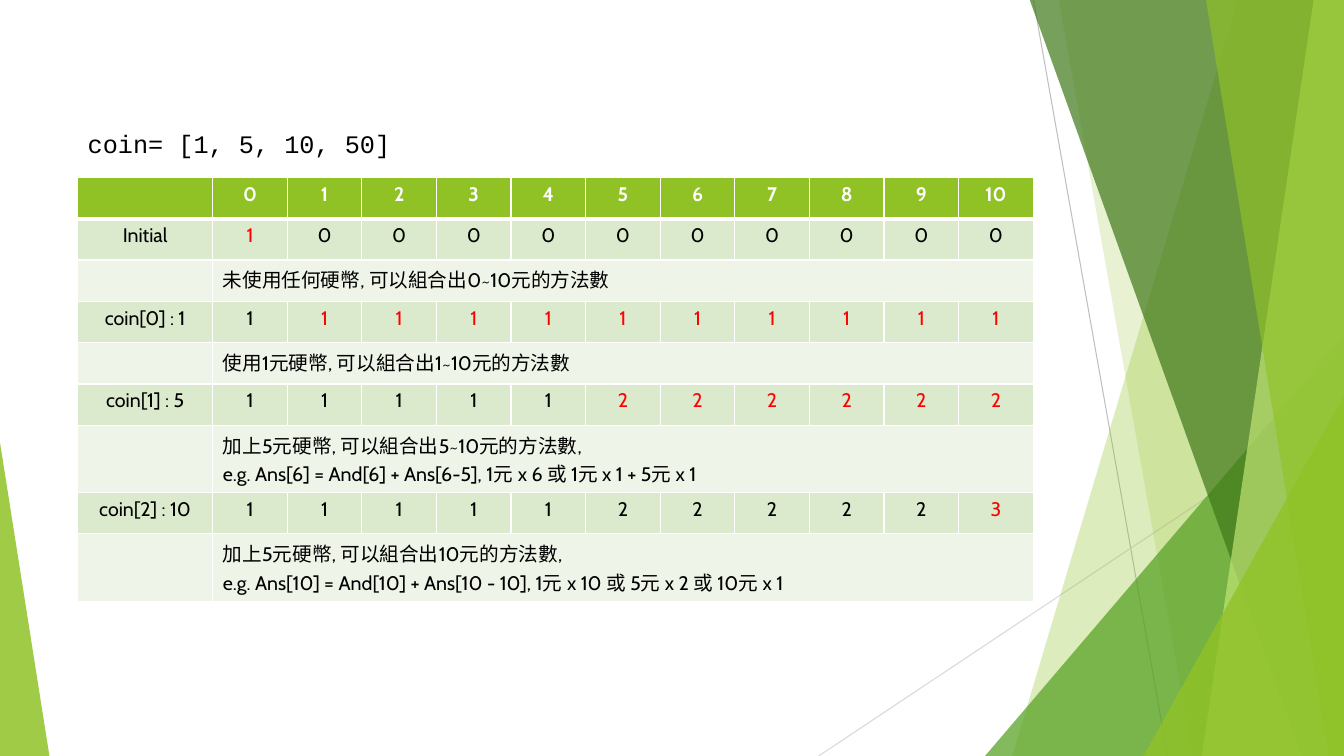
from lxml import etree
from pptx import Presentation
from pptx import util as u
from pptx.dml.color import RGBColor
from pptx.enum import shapes, text
from pptx.oxml import ns

WHITE = RGBColor(0xFF, 0xFF, 0xFF)
BLACK = RGBColor(0x00, 0x00, 0x00)
RED = RGBColor(0xFF, 0x00, 0x00)
LIME = RGBColor(0x90, 0xC2, 0x26)
PALE_LIME = RGBColor(0xC0, 0xE4, 0x74)
GREEN = RGBColor(0x54, 0xA0, 0x21)
DARK_GREEN = RGBColor(0x3F, 0x78, 0x19)
COUNT_BAND = RGBColor(0xDB, 0xE9, 0xCD)
NOTE_BAND = RGBColor(0xEE, 0xF4, 0xE8)
GREY = RGBColor(0xBF, 0xBF, 0xBF)
LIGHT_GREY = RGBColor(0xD9, 0xD9, 0xD9)

WIDTH, HEIGHT, TOP = 13.33, 7.5, -0.01
CENTER, LEFT = text.PP_ALIGN.CENTER, text.PP_ALIGN.LEFT

STEPS = [
    ("Initial", [1] + [0] * 10, range(0, 1),
     ["未使用任何硬幣, 可以組合出0~10元的方法數"]),
    ("coin[0] : 1", [1] * 11, range(1, 11),
     ["使用1元硬幣, 可以組合出1~10元的方法數"]),
    ("coin[1] : 5", [1] * 5 + [2] * 6, range(5, 11),
     ["加上5元硬幣, 可以組合出5~10元的方法數,",
      "e.g. Ans[6] = And[6] + Ans[6-5], 1元 x 6 或 1元 x 1 + 5元 x 1"]),
    ("coin[2] : 10", [1] * 5 + [2] * 5 + [3], range(10, 11),
     ["加上5元硬幣, 可以組合出10元的方法數,",
      "e.g. Ans[10] = And[10] + Ans[10 - 10], 1元 x 10 或 5元 x 2 或 10元 x 1"]),
]


class CoinSlide:
    cell_style = {"name": "Cabin", "size": u.Pt(14), "bold": False}
    code_style = {"name": "Courier New", "size": u.Pt(18), "bold": False}

    def __init__(self, deck):
        self.slide = deck.slides.add_slide(deck.slide_layouts[5])

    def format(self, target, values):
        for key, value in values.items():
            setattr(target, key, value)

    def heading(self, words, left, top, width, height):
        title = self.slide.shapes.title
        self.format(title, {"left": u.Inches(left), "top": u.Inches(top),
                            "width": u.Inches(width), "height": u.Inches(height)})
        frame = title.text_frame
        frame.text = words
        self.format(frame, {"word_wrap": False, "auto_size": text.MSO_AUTO_SIZE.NONE,
                            "vertical_anchor": text.MSO_ANCHOR.TOP})
        line = frame.paragraphs[0]
        line.alignment = LEFT
        self.format(line.runs[0].font, self.code_style)
        line.runs[0].font.color.rgb = BLACK

    def ray(self, start, end, color):
        ray = self.slide.shapes.add_connector(
            shapes.MSO_CONNECTOR.STRAIGHT, *map(u.Inches, start + end))
        ray.line.color.rgb = color
        ray.line.width = u.Pt(0.75)
        etree.SubElement(ray._element.spPr, ns.qn("a:effectLst"))

    def tint(self, facet, color, opacity):
        facet.shadow.inherit = False
        facet.fill.solid()
        facet.fill.fore_color.rgb = color
        facet.line.fill.background()
        shade = facet._element.spPr.find(ns.qn("a:solidFill"))[0]
        etree.SubElement(shade, ns.qn("a:alpha"), val=str(opacity * 1000))

    def shard(self, top_x, bottom_x, color, opacity):
        corners = [(top_x, TOP), (WIDTH, TOP), (WIDTH, HEIGHT), (bottom_x, HEIGHT)]
        points = [(u.Inches(x), u.Inches(y)) for x, y in corners]
        outline = self.slide.shapes.build_freeform(*points[0], scale=1.0)
        outline.add_line_segments(points[1:], close=True)
        self.tint(outline.convert_to_shape(), color, opacity)

    def wedge(self, left, top, width, apex, color, opacity):
        wedge = self.slide.shapes.add_shape(
            shapes.MSO_SHAPE.ISOSCELES_TRIANGLE,
            *map(u.Inches, (left, top, width, HEIGHT - top)))
        wedge.adjustments[0] = apex
        self.tint(wedge, color, opacity)

    def cell(self, cell, lines, band, color=BLACK, align=CENTER, bold=False, bottom=1):
        edges = cell._tc.get_or_add_tcPr()
        for side, points in {"L": 1, "R": 1, "T": 1, "B": bottom}.items():
            edge = etree.SubElement(edges, ns.qn(f"a:ln{side}"), w=str(u.Pt(points)))
            paint = etree.SubElement(edge, ns.qn("a:solidFill"))
            etree.SubElement(paint, ns.qn("a:srgbClr"), val=str(WHITE))
        cell.fill.solid()
        cell.fill.fore_color.rgb = band
        cell.text_frame.text = "\n".join(lines)
        for paragraph in cell.text_frame.paragraphs:
            paragraph.alignment = align
            self.format(paragraph.font, self.cell_style)
            for run in paragraph.runs:
                self.format(run.font, {**self.cell_style, "bold": bold})
                run.font.color.rgb = color

    def counts_table(self, left, top, width, height):
        table = self.slide.shapes.add_table(
            1 + 2 * len(STEPS), 12, *map(u.Inches, (left, top, width, height))).table
        for index, column in enumerate(table.columns):
            column.width = u.Inches(0.74 if index else 1.34)
        for row in table.rows:
            row.height = u.Inches(0.41)
        for column, amount in enumerate(["", *range(11)]):
            self.cell(table.cell(0, column), [str(amount)], LIME, WHITE,
                      bold=True, bottom=3)
        for step, (label, counts, changed, note) in enumerate(STEPS):
            row = 1 + 2 * step
            self.cell(table.cell(row, 0), [label], COUNT_BAND)
            for amount, count in enumerate(counts):
                self.cell(table.cell(row, amount + 1), [str(count)], COUNT_BAND,
                          RED if amount in changed else BLACK)
            self.cell(table.cell(row + 1, 0), [], NOTE_BAND)
            table.cell(row + 1, 1).merge(table.cell(row + 1, 11))
            self.cell(table.cell(row + 1, 1), note, NOTE_BAND, align=LEFT)


def main():
    deck = Presentation()
    deck.slide_width, deck.slide_height = u.Inches(WIDTH), u.Inches(HEIGHT)
    page = CoinSlide(deck)
    page.ray((10.25, 0), (11.58, HEIGHT), GREY)
    page.ray((WIDTH, 4.03), (8.12, HEIGHT), LIGHT_GREY)
    page.shard(12.28, 10.04, LIME, 30)
    page.shard(10.5, 11.83, LIME, 20)
    page.wedge(9.77, 3.33, 3.56, 1, GREEN, 72)
    page.shard(10.21, 12.91, DARK_GREEN, 70)
    page.shard(13.03, 11.92, PALE_LIME, 70)
    page.shard(11.96, 13.18, LIME, 65)
    page.wedge(11.34, 3.93, 1.99, 1, LIME, 80)
    page.wedge(0, 4.39, 0.49, 0, LIME, 85)
    page.counts_table(0.77, 1.76, 9.49, 3.97)
    page.heading("coin= [1, 5, 10, 50]", 0.77, 1.22, 3.25, 0.4)
    deck.save("out.pptx")


if __name__ == "__main__":
    main()
